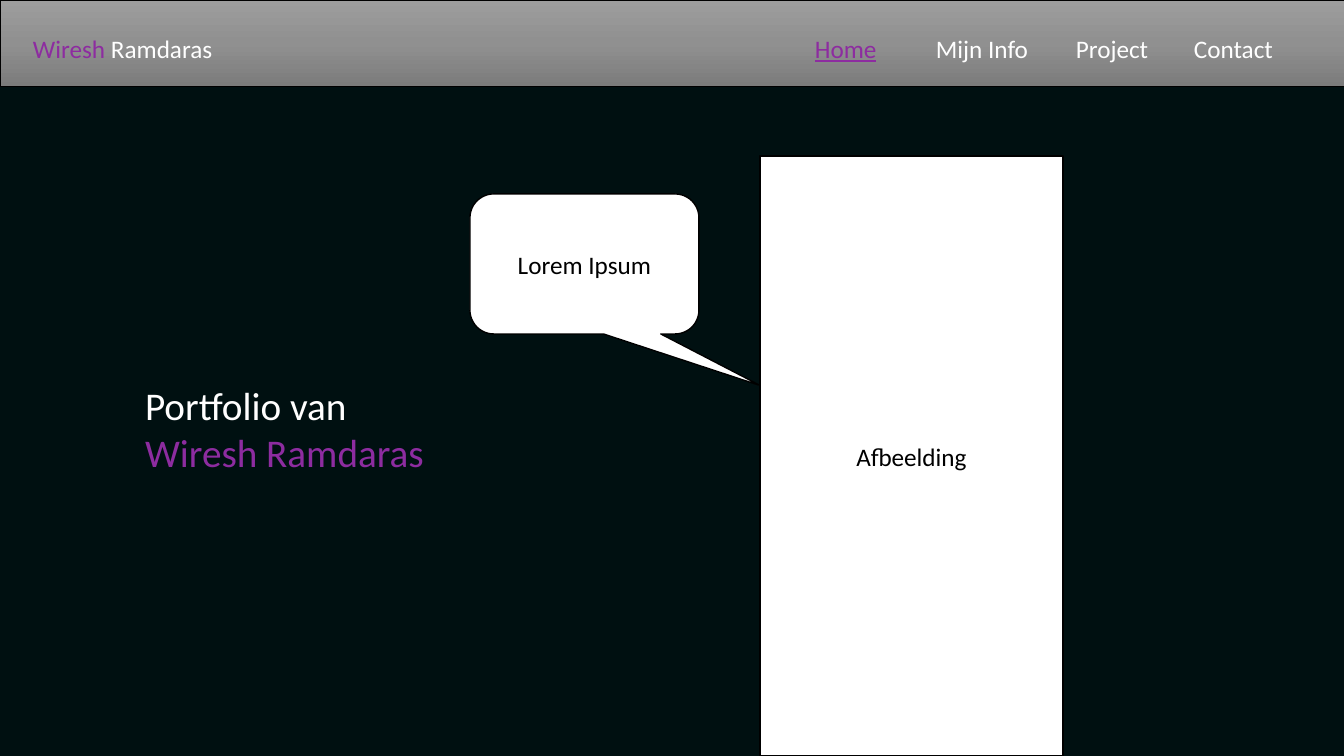
"""Build the home page mock-up of a portfolio site."""
import copy
import pptx
import pptx.util
import pptx.dml.color
import pptx.enum.shapes
import pptx.enum.text
import pptx.oxml.ns

SCALE = 914400 / 100.8
SHAPES = pptx.enum.shapes.MSO_SHAPE
ALIGN = pptx.enum.text.PP_ALIGN
ANCHOR = pptx.enum.text.MSO_ANCHOR
WHITE, BLACK, PURPLE, NIGHT = "FFFFFF", "000000", "8D2CA0", "001011"

BAR = (0, 0, 1344, 86)
BAR_STOPS = [(0, "9D9D9D"), (0.5, "909090"), (1, "7C7C7C")]
MENU_TOP, MENU_HEIGHT = 28, 40
MENU = [
    (23, 201, [("Wiresh", PURPLE, {}), (" Ramdaras", WHITE, {})]),
    (805, 125, [("Home", PURPLE, {"underline": True})]),
    (926, 125, [("Mijn Info", WHITE, {})]),
    (1066, 102, [("Project", WHITE, {})]),
    (1184, 102, [("Contact", WHITE, {})]),
]
TITLE_AREA = (135, 376, 335, 105)
TITLE = [[("Portfolio van ", WHITE, {})], [("Wiresh Ramdaras", PURPLE, {})]]
PANELS = [
    (SHAPES.ROUNDED_RECTANGULAR_CALLOUT, (470, 194, 229, 140), (0.77, 0.87, 0.17), "Lorem Ipsum"),
    (SHAPES.RECTANGLE, (760, 156, 303, 600), (), "Afbeelding"),
]


def px(length):
    return pptx.util.Emu(round(length * SCALE))


def colour(value):
    return pptx.dml.color.RGBColor.from_string(value)


def set_all(target, values):
    for name, value in values.items():
        setattr(target, name, value)


def write(shape, lines, size, align, anchor):
    frame = shape.text_frame
    set_all(frame, {"word_wrap": True, "vertical_anchor": anchor})
    for index, line in enumerate(lines):
        para = frame.add_paragraph() if index else frame.paragraphs[0]
        para.alignment = align
        for text, shade, extra in line:
            span = para.add_run()
            span.text = text
            set_all(span.font, {"name": "Calibri", "size": pptx.util.Pt(size), **extra})
            span.font.color.rgb = colour(shade)


def add_block(page, kind, area, line_width):
    block = page.shapes.add_shape(kind, *map(px, area))
    block.shadow.inherit = False
    block.line.color.rgb = colour(BLACK)
    block.line.width = pptx.util.Pt(line_width)
    return block


deck = pptx.Presentation()
set_all(deck, {"slide_width": px(1344), "slide_height": px(756)})
page = deck.slides.add_slide(deck.slide_layouts[5])
page.background.fill.solid()
page.background.fill.fore_color.rgb = colour(NIGHT)

bar = add_block(page, SHAPES.RECTANGLE, BAR, 0.5)
bar.fill.gradient()
bar.fill.gradient_angle = 270
stops = bar._element.spPr.find(".//" + pptx.oxml.ns.qn("a:gsLst"))
stops.insert(1, copy.deepcopy(stops[0]))
for stop, (position, shade) in zip(bar.fill.gradient_stops, BAR_STOPS):
    stop.position = position
    stop.color.rgb = colour(shade)

for left, width, spans in MENU:
    box = page.shapes.add_textbox(*map(px, (left, MENU_TOP, width, MENU_HEIGHT)))
    write(box, [spans], 18, ALIGN.LEFT, ANCHOR.TOP)

for kind, area, adjustments, label in PANELS:
    panel = add_block(page, kind, area, 1)
    panel.fill.solid()
    panel.fill.fore_color.rgb = colour(WHITE)
    for index, value in enumerate(adjustments):
        panel.adjustments[index] = value
    write(panel, [[(label, BLACK, {})]], 18, ALIGN.CENTER, ANCHOR.MIDDLE)

title = page.shapes.title
set_all(title, dict(zip(("left", "top", "width", "height"), map(px, TITLE_AREA))))
write(title, TITLE, 28, ALIGN.LEFT, ANCHOR.TOP)

deck.save("out.pptx")
